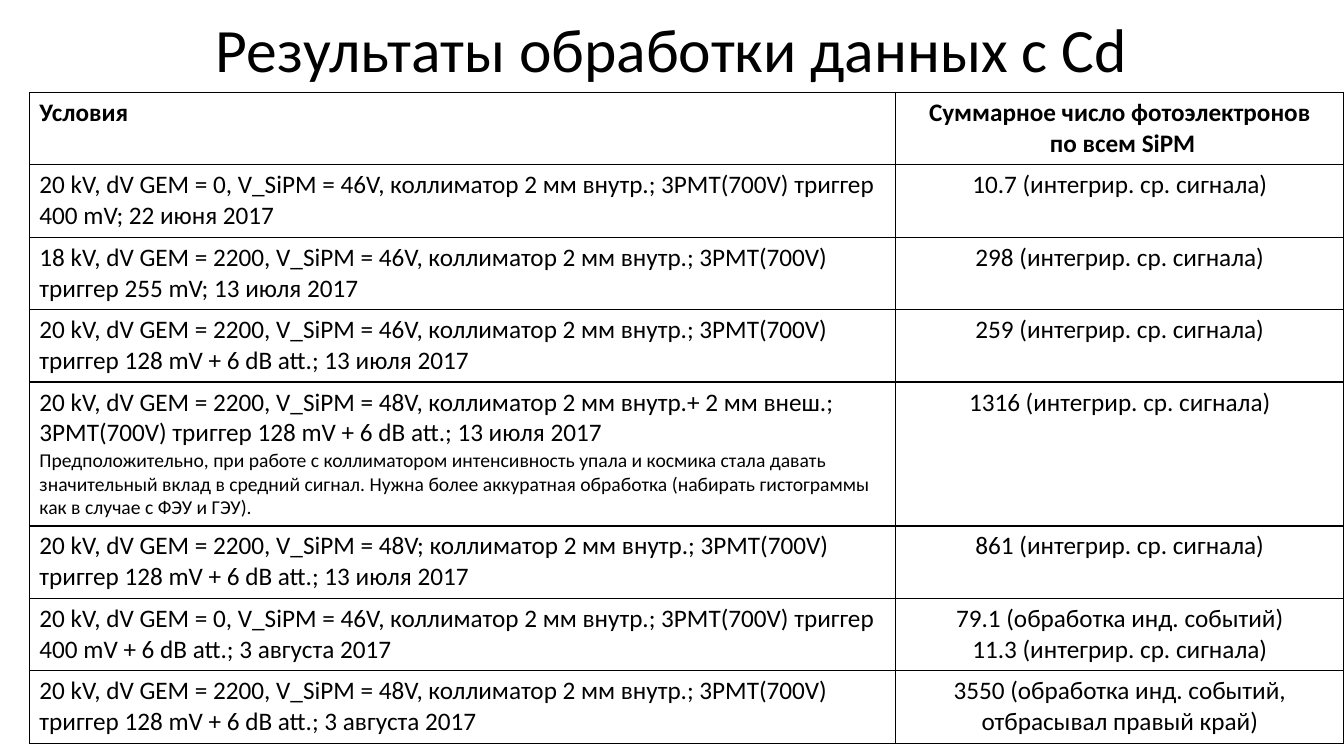
from dataclasses import dataclass

from lxml import etree
from pptx import Presentation
from pptx import util as u
from pptx.dml.color import RGBColor
from pptx.enum import text
from pptx.oxml import ns

PX = 9525  # EMU per px, 96 px to the inch
FONT = "Calibri"
BLACK = RGBColor(0x00, 0x00, 0x00)
WHITE = RGBColor(0xFF, 0xFF, 0xFF)

SLIDE_WIDTH, SLIDE_HEIGHT = 1280, 720
TITLE_HEIGHT = 100
TABLE_LEFT, TABLE_TOP = 28, 88
COLUMN_WIDTHS = (825, 427)
ROW_HEIGHT, NOTE_ROW_HEIGHT = 69, 137


@dataclass(frozen=True)
class Measurement:
    conditions: str
    photoelectrons: tuple[str, ...]
    note: str = ""
    bold: bool = False


ROWS = (
    Measurement("Условия", ("Суммарное число фотоэлектронов", " по всем SiPM"), bold=True),
    Measurement(
        "20 kV, dV GEM = 0, V_SiPM = 46V, коллиматор 2 мм внутр.; 3PMT(700V) триггер 400 mV; 22 июня 2017",
        ("10.7 (интегрир. ср. сигнала)",),
    ),
    Measurement(
        "18 kV, dV GEM = 2200, V_SiPM = 46V, коллиматор 2 мм внутр.; 3PMT(700V) триггер 255 mV; 13 июля 2017",
        ("298 (интегрир. ср. сигнала)",),
    ),
    Measurement(
        "20 kV, dV GEM = 2200, V_SiPM = 46V, коллиматор 2 мм внутр.; 3PMT(700V) "
        "триггер 128 mV + 6 dB att.; 13 июля 2017",
        ("259 (интегрир. ср. сигнала)",),
    ),
    Measurement(
        "20 kV, dV GEM = 2200, V_SiPM = 48V, коллиматор 2 мм внутр.+ 2 мм внеш.; 3PMT(700V) "
        "триггер 128 mV + 6 dB att.; 13 июля 2017",
        ("1316 (интегрир. ср. сигнала)",),
        note="Предположительно, при работе с коллиматором интенсивность упала и космика стала давать "
        "значительный вклад в средний сигнал. Нужна более аккуратная обработка "
        "(набирать гистограммы как в случае с ФЭУ и ГЭУ).",
    ),
    Measurement(
        "20 kV, dV GEM = 2200, V_SiPM = 48V; коллиматор 2 мм внутр.; 3PMT(700V) "
        "триггер 128 mV + 6 dB att.; 13 июля 2017",
        ("861 (интегрир. ср. сигнала)",),
    ),
    Measurement(
        "20 kV, dV GEM = 0, V_SiPM = 46V, коллиматор 2 мм внутр.; 3PMT(700V) триггер "
        "400 mV + 6 dB att.; 3 августа 2017",
        ("79.1 (обработка инд. событий)", "11.3 (интегрир. ср. сигнала)"),
    ),
    Measurement(
        "20 kV, dV GEM = 2200, V_SiPM = 48V, коллиматор 2 мм внутр.; 3PMT(700V) "
        "триггер 128 mV + 6 dB att.; 3 августа 2017",
        ("3550 (обработка инд. событий, отбрасывал правый край)",),
    ),
)


def px(length: int) -> u.Emu:
    return u.Emu(length * PX)


def write(frame, content: str, *, size: int = 18, bold: bool = False,
          align=text.PP_ALIGN.LEFT, line_spacing: float | None = None) -> None:
    """Put one paragraph in the frame, after any that it already holds."""
    paragraph = frame.add_paragraph() if frame.text else frame.paragraphs[0]
    paragraph.alignment = align
    paragraph.line_spacing = line_spacing
    run = paragraph.add_run()
    run.text = content
    run.font.name = FONT
    run.font.size = u.Pt(size)
    run.font.bold = bold
    run.font.color.rgb = BLACK


def style_cell(cell) -> None:
    """Give the cell a thin black frame and a white fill."""
    properties = cell._tc.get_or_add_tcPr()
    for side in ("a:lnL", "a:lnR", "a:lnT", "a:lnB"):
        line = etree.SubElement(properties, ns.qn(side), w=str(u.Pt(1)))
        fill = etree.SubElement(line, ns.qn("a:solidFill"))
        etree.SubElement(fill, ns.qn("a:srgbClr"), val=str(BLACK))
    cell.fill.solid()
    cell.fill.fore_color.rgb = WHITE


def add_title(slide) -> None:
    box = slide.shapes.add_textbox(0, 0, px(SLIDE_WIDTH), px(TITLE_HEIGHT))
    frame = box.text_frame
    frame.word_wrap = True
    frame.vertical_anchor = text.MSO_ANCHOR.MIDDLE
    write(frame, "Результаты обработки данных с Cd", size=44,
          align=text.PP_ALIGN.CENTER, line_spacing=0.9)


def add_results(slide) -> None:
    heights = [NOTE_ROW_HEIGHT if row.note else ROW_HEIGHT for row in ROWS]
    table = slide.shapes.add_table(
        len(ROWS), len(COLUMN_WIDTHS), px(TABLE_LEFT), px(TABLE_TOP),
        px(sum(COLUMN_WIDTHS)), px(sum(heights)),
    ).table
    table.first_row = table.horz_banding = False
    for column, width in zip(table.columns, COLUMN_WIDTHS):
        column.width = px(width)

    for index, (measurement, height) in enumerate(zip(ROWS, heights)):
        table.rows[index].height = px(height)
        conditions, result = table.cell(index, 0), table.cell(index, 1)
        write(conditions.text_frame, measurement.conditions, bold=measurement.bold)
        if measurement.note:
            write(conditions.text_frame, measurement.note, size=14)
        for line in measurement.photoelectrons:
            write(result.text_frame, line, bold=measurement.bold, align=text.PP_ALIGN.CENTER)
        style_cell(conditions)
        style_cell(result)


def main() -> None:
    presentation = Presentation()
    presentation.slide_width = px(SLIDE_WIDTH)
    presentation.slide_height = px(SLIDE_HEIGHT)
    slide = presentation.slides.add_slide(presentation.slide_layouts[6])
    # The table lies over the lower edge of the title box
    add_title(slide)
    add_results(slide)
    presentation.save("out.pptx")


if __name__ == "__main__":
    main()
